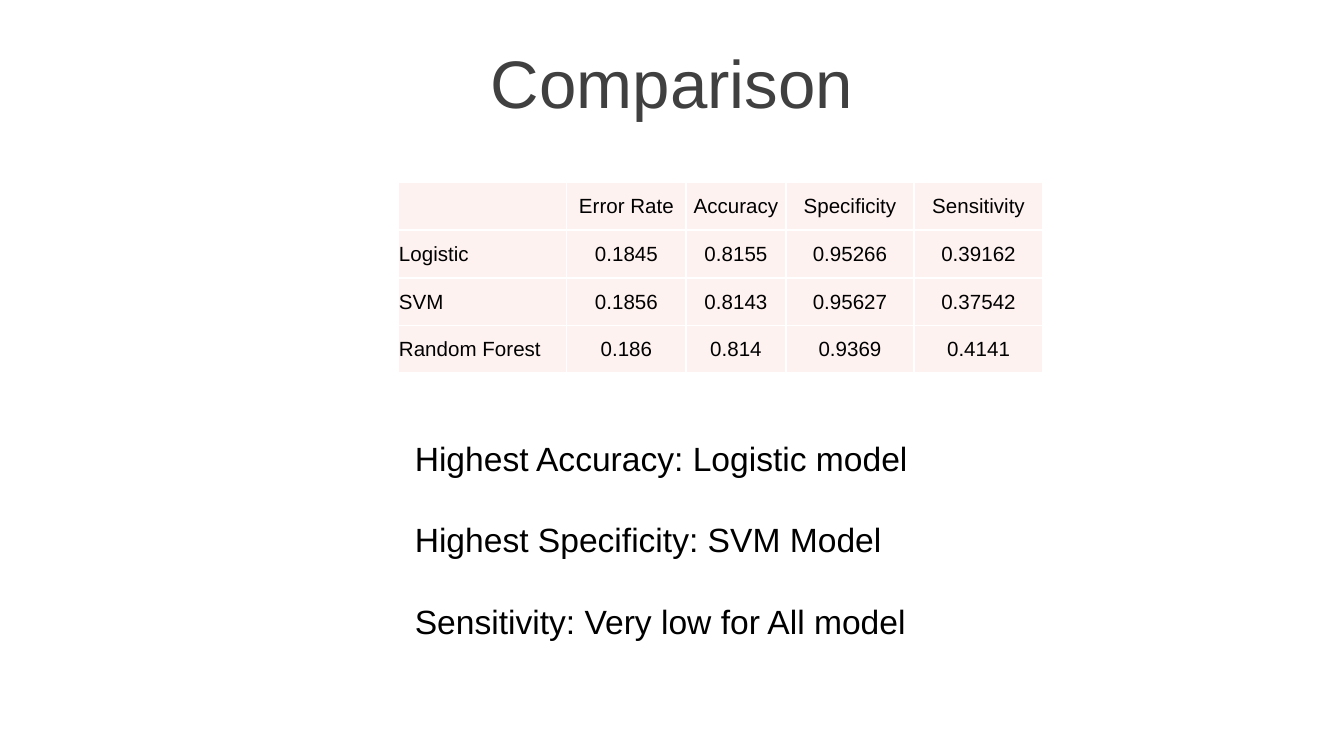
from lxml import etree
from pptx import Presentation
from pptx.dml.color import RGBColor
from pptx.enum.text import MSO_ANCHOR, PP_ALIGN
from pptx.oxml.ns import qn
from pptx.util import Cm, Pt

LEFT, CENTER = PP_ALIGN.LEFT, PP_ALIGN.CENTER
TOP, MIDDLE = MSO_ANCHOR.TOP, MSO_ANCHOR.MIDDLE

FONT = "Arial"
COLORS = {"title": "404040", "text": "000000", "cell": "FEF2F0", "border": "FFFFFF"}

SCORES = [
    ["", "Error Rate", "Accuracy", "Specificity", "Sensitivity"],
    ["Logistic", "0.1845", "0.8155", "0.95266", "0.39162"],
    ["SVM", "0.1856", "0.8143", "0.95627", "0.37542"],
    ["Random Forest", "0.186", "0.814", "0.9369", "0.4141"],
]
COLUMN_WIDTHS = [3.19, 2.26, 1.88, 2.43, 2.43]
ROW_HEIGHT = 0.9

FINDINGS = [
    "Highest Accuracy: Logistic model",
    "Highest Specificity: SVM Model",
    "Sensitivity: Very low for All model",
]


def write(frame, text, size, color="text", align=LEFT, gap=0):
    """Fill a text frame, one paragraph per line, with a gap in points between."""
    for index, line in enumerate(text.split("\n")):
        paragraph = frame.add_paragraph() if index else frame.paragraphs[0]
        paragraph.alignment = align
        paragraph.space_before = Pt(gap if index else 0)
        run = paragraph.add_run()
        run.text = line
        run.font.name = FONT
        run.font.size = Pt(size)
        run.font.color.rgb = RGBColor.from_string(COLORS[color])


def add_text(slide, text, left, top, width, height, anchor=TOP, wrap=True, **style):
    frame = slide.shapes.add_textbox(Cm(left), Cm(top), Cm(width), Cm(height)).text_frame
    frame.word_wrap = wrap
    frame.vertical_anchor = anchor
    write(frame, text, **style)


def set_borders(cell):
    properties = cell._tc.get_or_add_tcPr()
    for position, side in enumerate(("lnL", "lnR", "lnT", "lnB")):
        line = etree.Element(qn(f"a:{side}"), w=str(Pt(1)))
        fill = etree.SubElement(line, qn("a:solidFill"))
        etree.SubElement(fill, qn("a:srgbClr"), val=COLORS["border"])
        properties.insert(position, line)


def add_score_table(slide, left, top):
    table = slide.shapes.add_table(
        len(SCORES), len(COLUMN_WIDTHS), Cm(left), Cm(top),
        Cm(sum(COLUMN_WIDTHS)), Cm(ROW_HEIGHT * len(SCORES))).table
    for column, width in zip(table.columns, COLUMN_WIDTHS):
        column.width = Cm(width)
    for row, scores in zip(table.rows, SCORES):
        row.height = Cm(ROW_HEIGHT)
        for index, (cell, score) in enumerate(zip(row.cells, scores)):
            cell.fill.solid()
            cell.fill.fore_color.rgb = RGBColor.from_string(COLORS["cell"])
            cell.vertical_anchor = MIDDLE
            cell.margin_left = cell.margin_right = cell.margin_top = Cm(0.02)
            cell.margin_bottom = 0
            write(cell.text_frame, score, size=11, align=CENTER if index else LEFT)
            set_borders(cell)


def main():
    presentation = Presentation()
    presentation.slide_width, presentation.slide_height = Cm(25.4), Cm(14.29)
    slide = presentation.slides.add_slide(presentation.slide_layouts[6])

    # Title
    add_text(slide, "Comparison", 0, 0.74, 25.4, 1.6, anchor=MIDDLE,
             size=36, color="title", align=CENTER)

    # Model scores
    add_score_table(slide, 7.52, 3.45)

    # Findings
    add_text(slide, "\n".join(FINDINGS), 7.59, 8.15, 9.83, 4.09, wrap=False,
             size=18, gap=22)

    presentation.save("out.pptx")


if __name__ == "__main__":
    main()
